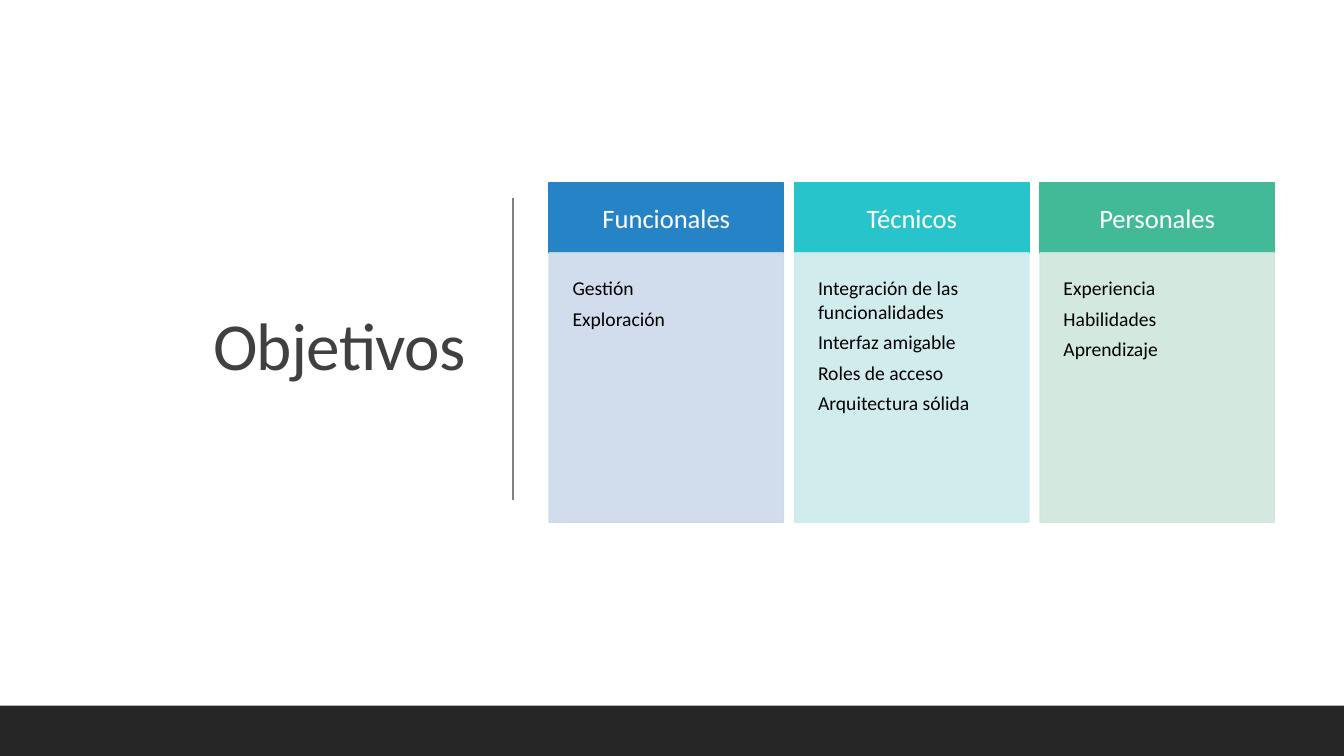
from lxml import etree
from pptx import Presentation
from pptx.dml.color import RGBColor
from pptx.enum import shapes, text
from pptx.oxml.ns import qn
from pptx.util import Inches, Pt

WHITE = RGBColor(0xFF, 0xFF, 0xFF)
BLACK = RGBColor(0x00, 0x00, 0x00)
TITLE_GRAY = RGBColor(0x40, 0x40, 0x40)
RULE_GRAY = RGBColor(0x80, 0x80, 0x80)
FOOTER_GRAY = RGBColor(0x26, 0x26, 0x26)
BLUE = RGBColor(0x26, 0x83, 0xC6)
PALE_BLUE = RGBColor(0xCD, 0xD9, 0xEA)
TEAL = RGBColor(0x28, 0xC4, 0xCC)
PALE_TEAL = RGBColor(0xCD, 0xEA, 0xEC)
GREEN = RGBColor(0x42, 0xBA, 0x97)
PALE_GREEN = RGBColor(0xCF, 0xE7, 0xDD)

OBJECTIVES = [
    ("Funcionales", BLUE, PALE_BLUE, ["Gestión", "Exploración"]),
    ("Técnicos", TEAL, PALE_TEAL,
     ["Integración de las funcionalidades", "Interfaz amigable",
      "Roles de acceso", "Arquitectura sólida"]),
    ("Personales", GREEN, PALE_GREEN,
     ["Experiencia", "Habilidades", "Aprendizaje"]),
]
COLUMN_LEFT, COLUMN_STEP, COLUMN_WIDTH = 5.45, 2.435, 2.32
HEADING_TOP, HEADING_HEIGHT, LIST_HEIGHT = 1.81, 0.7, 2.67


def add_block(left, top, width, height, color):
    block = slide.shapes.add_shape(
        shapes.MSO_SHAPE.RECTANGLE,
        Inches(left), Inches(top), Inches(width), Inches(height))
    block.shadow.inherit = False
    block.fill.solid()
    block.fill.fore_color.rgb = color
    block.line.color.rgb = color
    block.line.width = Pt(1.25)
    return block


def write(frame, lines, size, color, align, anchor, inset):
    frame.word_wrap = True
    frame.vertical_anchor = anchor
    frame.margin_left = frame.margin_right = Inches(inset)
    frame.margin_top = frame.margin_bottom = Inches(inset)
    frame.text = "\n".join(lines)
    for paragraph in frame.paragraphs:
        paragraph.alignment = align
        paragraph.space_after = Pt(size * 0.35)
        font = paragraph.runs[0].font
        font.name = "Calibri"
        font.size = Pt(size)
        font.color.rgb = color


prs = Presentation()
prs.slide_width = Inches(13.333)
prs.slide_height = Inches(7.5)
slide = prs.slides.add_slide(prs.slide_layouts[6])
slide.background.fill.solid()
slide.background.fill.fore_color.rgb = WHITE

title = slide.shapes.add_textbox(
    Inches(0.69), Inches(0.69), Inches(4.03), Inches(5.53))
write(title.text_frame, ["Objetivos"], 48, TITLE_GRAY,
      text.PP_ALIGN.RIGHT, text.MSO_ANCHOR.MIDDLE, 0.1)
title_line = title.text_frame.paragraphs[0]
title_line.line_spacing = 0.9
title_line.space_after = Pt(0)
title_line.runs[0]._r.get_or_add_rPr().set("spc", "-50")

divider = slide.shapes.add_connector(
    shapes.MSO_CONNECTOR.STRAIGHT,
    Inches(5.09), Inches(1.96), Inches(5.09), Inches(4.96))
divider.line.color.rgb = RULE_GRAY
divider.line.width = Pt(1)
etree.SubElement(divider._element.spPr, qn("a:effectLst"))

footer = add_block(0, 7, 13.333, 0.5, FOOTER_GRAY)
footer.line.fill.background()

for column, (name, strong, pale, goals) in enumerate(OBJECTIVES):
    left = COLUMN_LEFT + column * COLUMN_STEP

    heading = add_block(left, HEADING_TOP, COLUMN_WIDTH, HEADING_HEIGHT, strong)
    write(heading.text_frame, [name], 19, WHITE,
          text.PP_ALIGN.CENTER, text.MSO_ANCHOR.MIDDLE, 0.18)

    goal_list = add_block(left, HEADING_TOP + HEADING_HEIGHT,
                          COLUMN_WIDTH, LIST_HEIGHT, pale)
    for color in goal_list._element.spPr.iter(qn("a:srgbClr")):
        etree.SubElement(color, qn("a:alpha")).set("val", "90000")
    write(goal_list.text_frame, goals, 14, BLACK,
          text.PP_ALIGN.LEFT, text.MSO_ANCHOR.TOP, 0.23)

prs.save("out.pptx")
